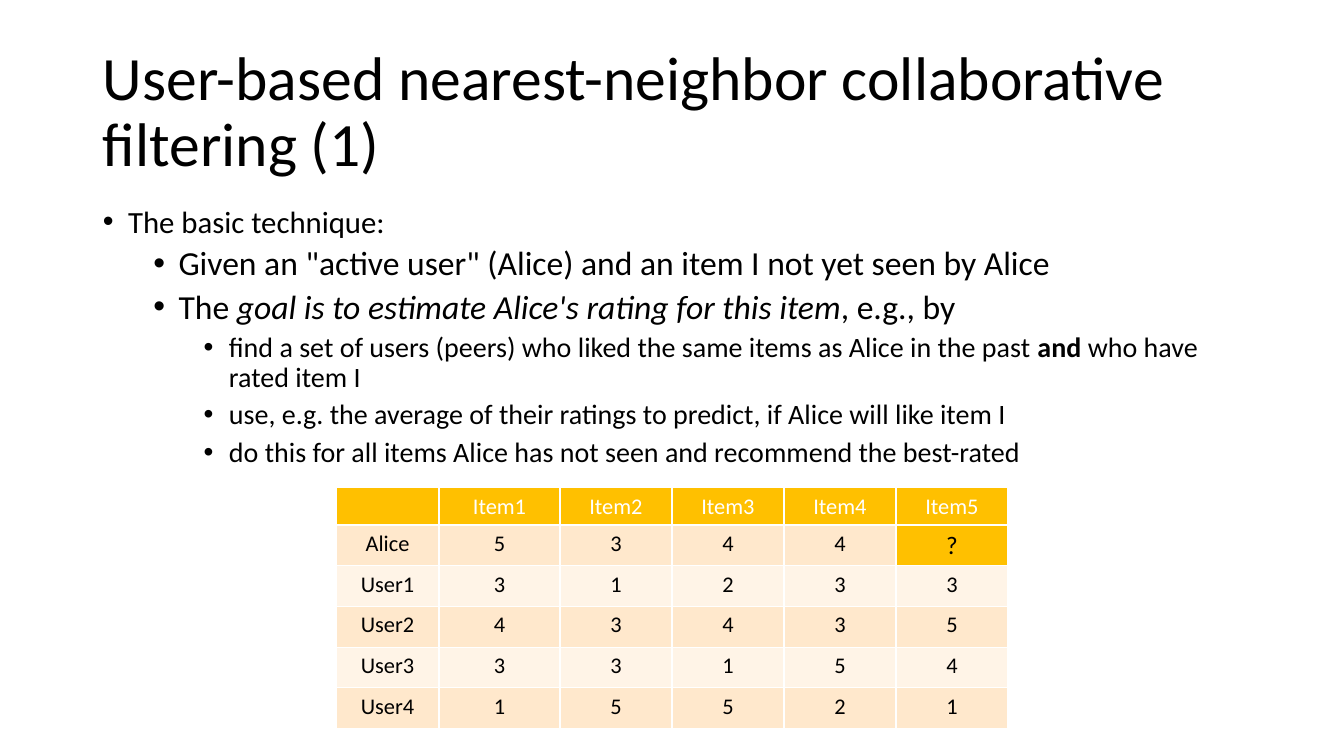
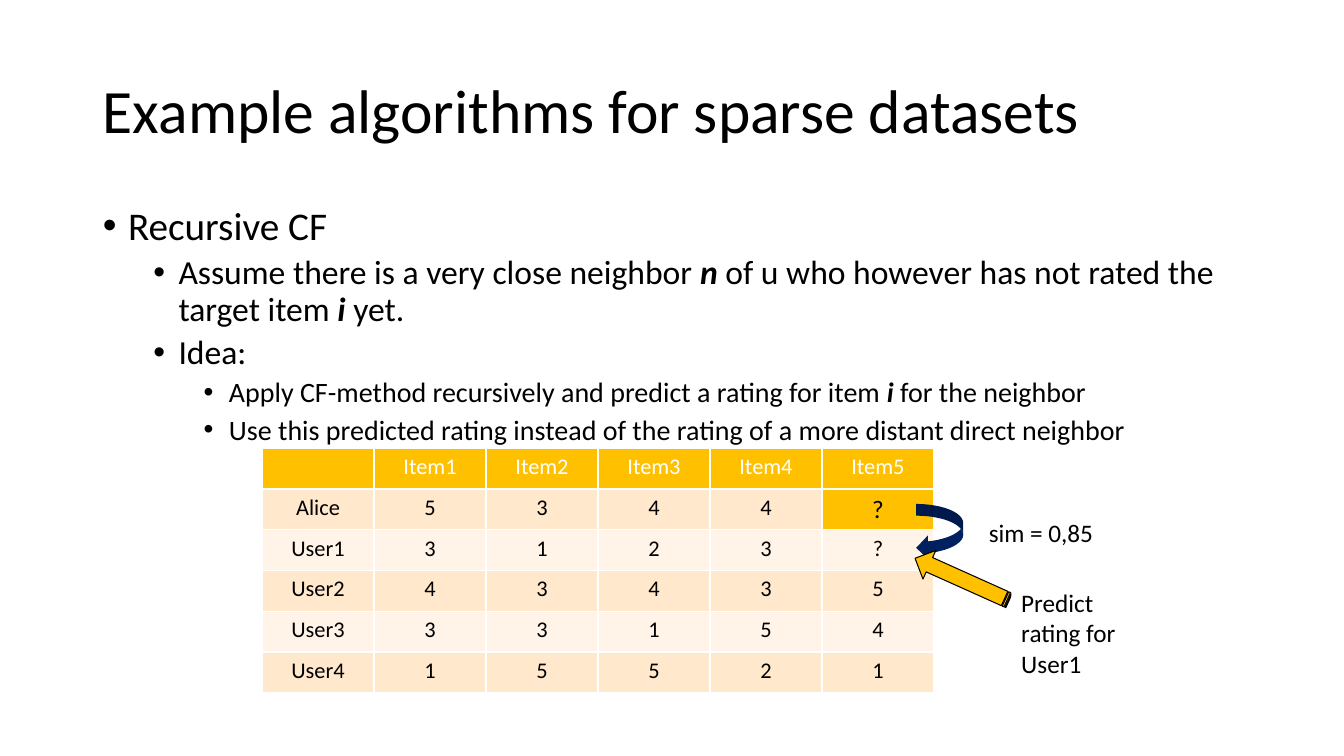
from dataclasses import dataclass
from typing import NamedTuple, Optional

from lxml.etree import SubElement
from pptx import Presentation
from pptx.dml.color import RGBColor
from pptx.enum.shapes import MSO_SHAPE
from pptx.enum.text import MSO_ANCHOR, PP_ALIGN
from pptx.oxml.ns import qn
from pptx.util import Inches, Pt

WIDTH, HEIGHT = Inches(13.33), Inches(7.5)
COL, ROW = WIDTH / 12, Inches(0.4)


@dataclass(frozen=True)
class Theme:
    font: str = "Calibri"
    ink: str = "000000"
    paper: str = "FFFFFF"
    accent: str = "FFC000"
    navy: str = "002060"
    bands: tuple = ("FFE8CC", "FFF4E7")
    title: int = 44
    levels: tuple = (28, 24, 20)
    cell: int = 16
    label: int = 18


THEME = Theme()


class Area(NamedTuple):
    """Left, top, width and height in grid columns and rows."""
    x: float
    y: float
    w: float
    h: float

    def emu(self) -> tuple:
        return tuple(round(n * unit) for n, unit in zip(self, (COL, ROW, COL, ROW)))


class Run(NamedTuple):
    text: str
    bold: bool = False
    italic: bool = False


class Bullet(NamedTuple):
    level: int
    runs: tuple
    size: Optional[int] = None


@dataclass(frozen=True)
class Ratings:
    x: float
    y: float
    widths: tuple
    heights: tuple
    rows: tuple


@dataclass(frozen=True)
class Arrow:
    kind: MSO_SHAPE
    area: Area
    fill: str
    line: Optional[str] = None
    rotation: float = 0


@dataclass(frozen=True)
class Label:
    area: Area
    lines: tuple
    wrap: bool = True
    fill: Optional[str] = None


TITLE = Area(0.83, 1, 10.35, 3.63)
BODY = Area(0.83, 5, 10.35, 11.9)

HEADER = ("", "Item1", "Item2", "Item3", "Item4", "Item5")
ALICE = ("Alice", "5", "3", "4", "4", "?")
USER1 = ("User1", "3", "1", "2", "3")
OTHERS = (
    ("User2", "4", "3", "4", "3", "5"),
    ("User3", "3", "3", "1", "5", "4"),
    ("User4", "1", "5", "5", "2", "1"),
)


def rating_rows(user1_item5: str) -> tuple:
    return (HEADER, ALICE, USER1 + (user1_item5,)) + OTHERS


def rgb(color: str) -> RGBColor:
    return RGBColor.from_string(color)


def add_run(p, run: Run, size: int, color: str = THEME.ink) -> None:
    r = p.add_run()
    r.text = run.text
    f = r.font
    f.name, f.size, f.bold, f.italic = THEME.font, Pt(size), run.bold, run.italic
    f.color.rgb = rgb(color)


def paragraph(tf, index: int):
    return tf.add_paragraph() if index else tf.paragraphs[0]


def add_text_frame(s, area: Area, wrap: bool = True):
    tb = s.shapes.add_textbox(*area.emu())
    tb.text_frame.word_wrap = wrap
    return tb, tb.text_frame


def add_title(s, text: str) -> None:
    _, tf = add_text_frame(s, TITLE)
    tf.vertical_anchor = MSO_ANCHOR.MIDDLE
    p = tf.paragraphs[0]
    p.line_spacing = 0.9
    add_run(p, Run(text), THEME.title)


def add_bullets(s, bullets: tuple) -> None:
    _, tf = add_text_frame(s, BODY)
    for i, bullet in enumerate(bullets):
        p = paragraph(tf, i)
        p.line_spacing = 0.9
        p.space_before = Pt(5 if i else 0)
        pPr = p._p.get_or_add_pPr()
        pPr.set("marL", str(Inches(0.25 + 0.5 * bullet.level)))
        pPr.set("indent", str(-Inches(0.25)))
        SubElement(pPr, qn("a:buFont"), typeface="Arial")
        SubElement(pPr, qn("a:buChar"), char="•")
        for run in bullet.runs:
            add_run(p, run, bullet.size or THEME.levels[bullet.level])


def set_borders(cell) -> None:
    tcPr = cell._tc.get_or_add_tcPr()
    for i, side in enumerate(("lnL", "lnR", "lnT", "lnB")):
        ln = tcPr.makeelement(qn(f"a:{side}"), {"w": str(Pt(1))})
        fill = SubElement(ln, qn("a:solidFill"))
        SubElement(fill, qn("a:srgbClr"), val=THEME.paper)
        tcPr.insert(i, ln)


def add_ratings(s, ratings: Ratings) -> None:
    area = Area(ratings.x, ratings.y, sum(ratings.widths), sum(ratings.heights))
    table = s.shapes.add_table(len(ratings.rows), len(HEADER), *area.emu()).table
    for column, width in zip(table.columns, ratings.widths):
        column.width = round(width * COL)
    for row, height in zip(table.rows, ratings.heights):
        row.height = round(height * ROW)
    for i, texts in enumerate(ratings.rows):
        for j, text in enumerate(texts):
            cell = table.cell(i, j)
            target = i == 1 and j == len(HEADER) - 1
            cell.fill.solid()
            cell.fill.fore_color.rgb = rgb(
                THEME.accent if i == 0 or target else THEME.bands[(i - 1) % 2])
            set_borders(cell)
            p = cell.text_frame.paragraphs[0]
            p.alignment = PP_ALIGN.CENTER
            if text:
                add_run(p, Run(text), THEME.label if target else THEME.cell,
                        THEME.ink if i else THEME.paper)
            else:
                p._p.get_or_add_endParaRPr().set("sz", str(THEME.cell * 100))


def add_arrow(s, arrow: Arrow) -> None:
    sp = s.shapes.add_shape(arrow.kind, *arrow.area.emu())
    sp.shadow.inherit = False
    sp.rotation = arrow.rotation
    sp.fill.solid()
    sp.fill.fore_color.rgb = rgb(arrow.fill)
    if arrow.line:
        sp.line.color.rgb = rgb(arrow.line)
        sp.line.width = Pt(0.75)
    else:
        sp.line.fill.background()


def add_label(s, label: Label) -> None:
    tb, tf = add_text_frame(s, label.area, label.wrap)
    if label.fill:
        tb.fill.solid()
        tb.fill.fore_color.rgb = rgb(label.fill)
    for i, line in enumerate(label.lines):
        add_run(paragraph(tf, i), Run(line), THEME.label)


def add_slide(prs, title: str, bullets: tuple, ratings: Ratings,
              arrows: tuple = (), labels: tuple = ()) -> None:
    s = prs.slides.add_slide(prs.slide_layouts[6])
    add_title(s, title)
    add_bullets(s, bullets)
    add_ratings(s, ratings)
    for arrow in arrows:
        add_arrow(s, arrow)
    for label in labels:
        add_label(s, label)


def main() -> None:
    prs = Presentation()
    prs.slide_width, prs.slide_height = WIDTH, HEIGHT

    add_slide(
        prs,
        "User-based nearest-neighbor collaborative filtering (1)",
        (
            Bullet(0, (Run("The basic technique:"),), size=22),
            Bullet(1, (Run('Given an "active user" (Alice) and an item I not yet seen by Alice'),)),
            Bullet(1, (Run("The "),
                       Run("goal is to estimate Alice's rating for this item", italic=True),
                       Run(", e.g., by"))),
            Bullet(2, (Run("find a set of users (peers) who liked the same items as Alice in the past "),
                       Run("and ", bold=True),
                       Run("who have rated item I"))),
            Bullet(2, (Run("use, e.g. the average of their ratings to predict, if Alice will like item I"),)),
            Bullet(2, (Run("do this for all items Alice has not seen and recommend the best-rated"),)),
        ),
        Ratings(3, 12.1, (0.92, 1.08, 1, 1, 1, 1), (0.92,) + (1.01,) * 5, rating_rows("3")),
    )

    add_slide(
        prs,
        "Example algorithms for sparse datasets",
        (
            Bullet(0, (Run("Recursive CF"),)),
            Bullet(1, (Run("Assume there is a very close neighbor "),
                       Run("n", bold=True, italic=True),
                       Run(" of u who however has not rated the target item "),
                       Run("i", bold=True, italic=True),
                       Run(" yet."))),
            Bullet(1, (Run("Idea:"),)),
            Bullet(2, (Run("Apply CF-method recursively and predict a rating for item "),
                       Run("i", bold=True, italic=True),
                       Run(" for the neighbor"))),
            Bullet(2, (Run("Use this predicted rating instead of the rating of a more distant direct neighbor"),)),
        ),
        Ratings(2.34, 11.12, (1,) * 6, (1.01,) * 6, rating_rows("?")),
        arrows=(
            Arrow(MSO_SHAPE.CURVED_LEFT_ARROW, Area(8.18, 12.5, 0.42, 1.38), THEME.navy),
            Arrow(MSO_SHAPE.STRIPED_RIGHT_ARROW, Area(8.13, 13.98, 0.92, 0.78),
                  THEME.accent, THEME.ink, 204.2),
        ),
        labels=(
            Label(Area(8.74, 12.7, 1.13, 1), ("sim = 0,85",), wrap=False),
            Label(Area(9.03, 14.45, 1.2, 2.52), ("Predict rating for", "User1"), fill=THEME.paper),
        ),
    )

    prs.save("out.pptx")


if __name__ == "__main__":
    main()
